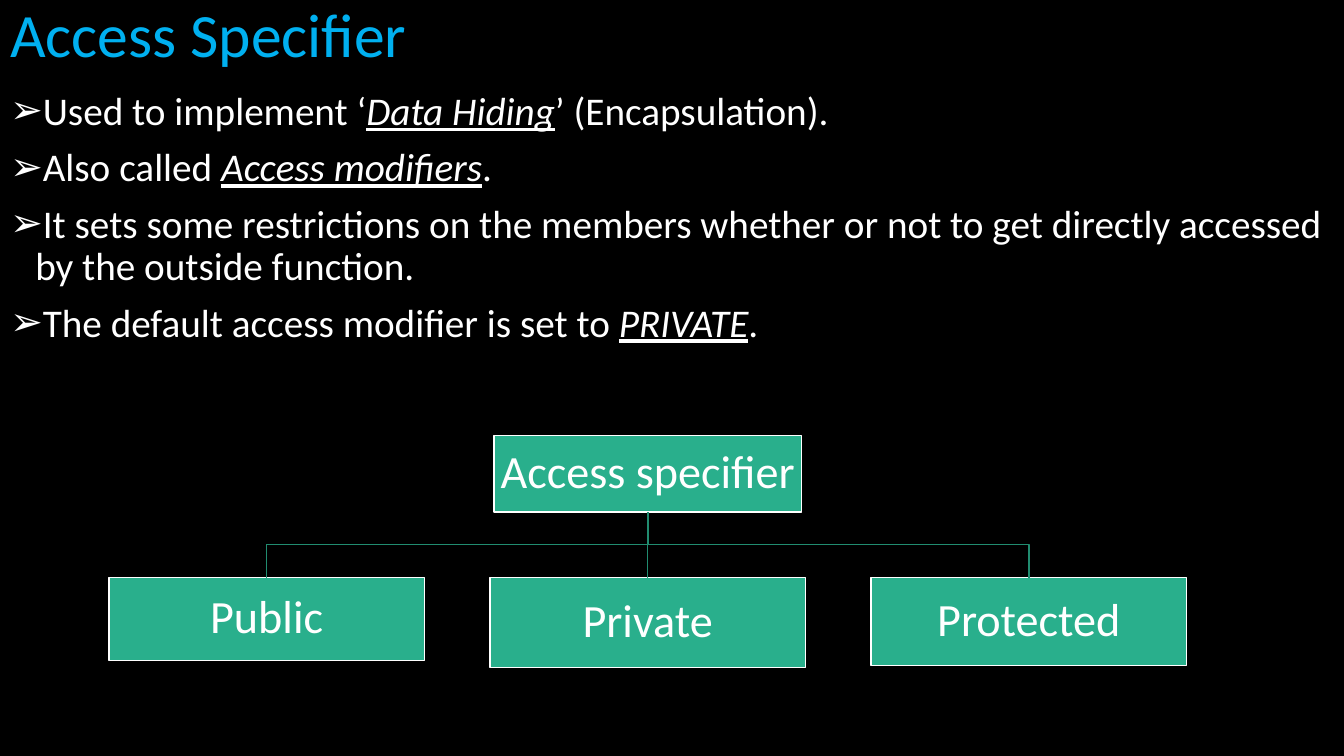
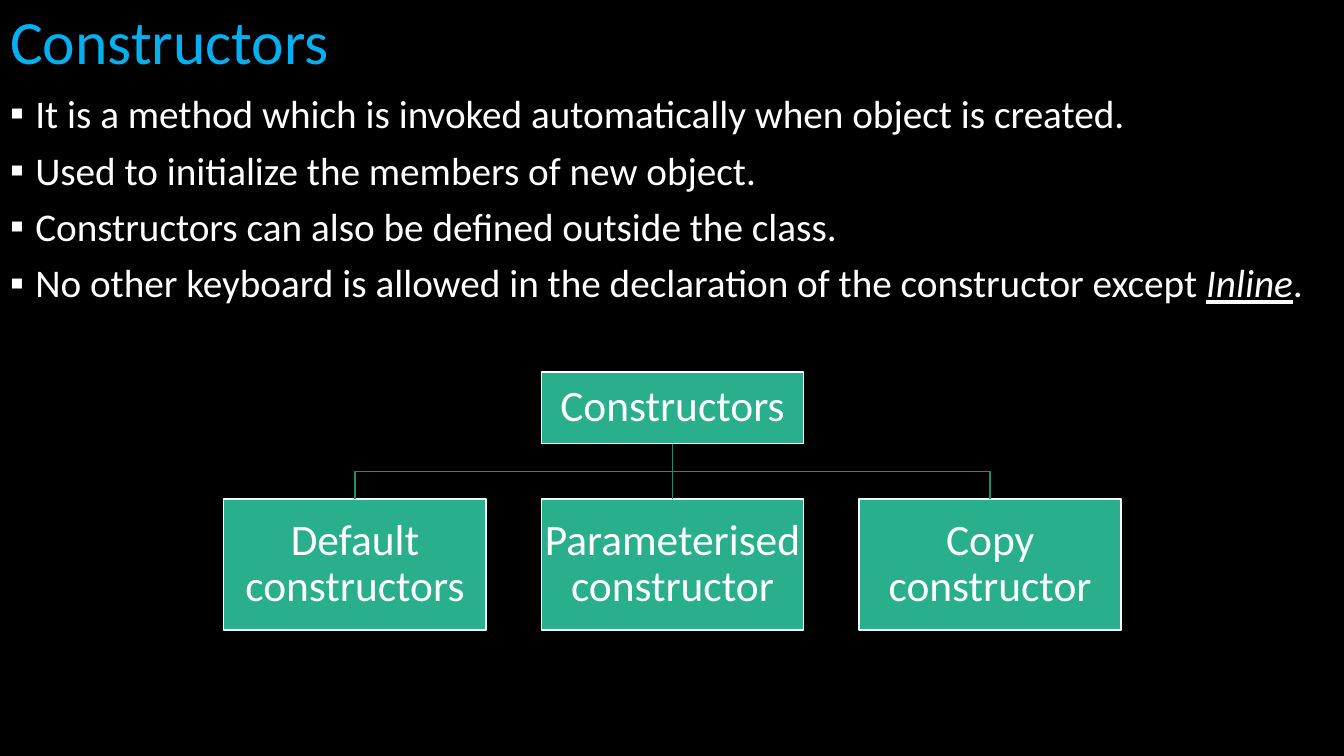
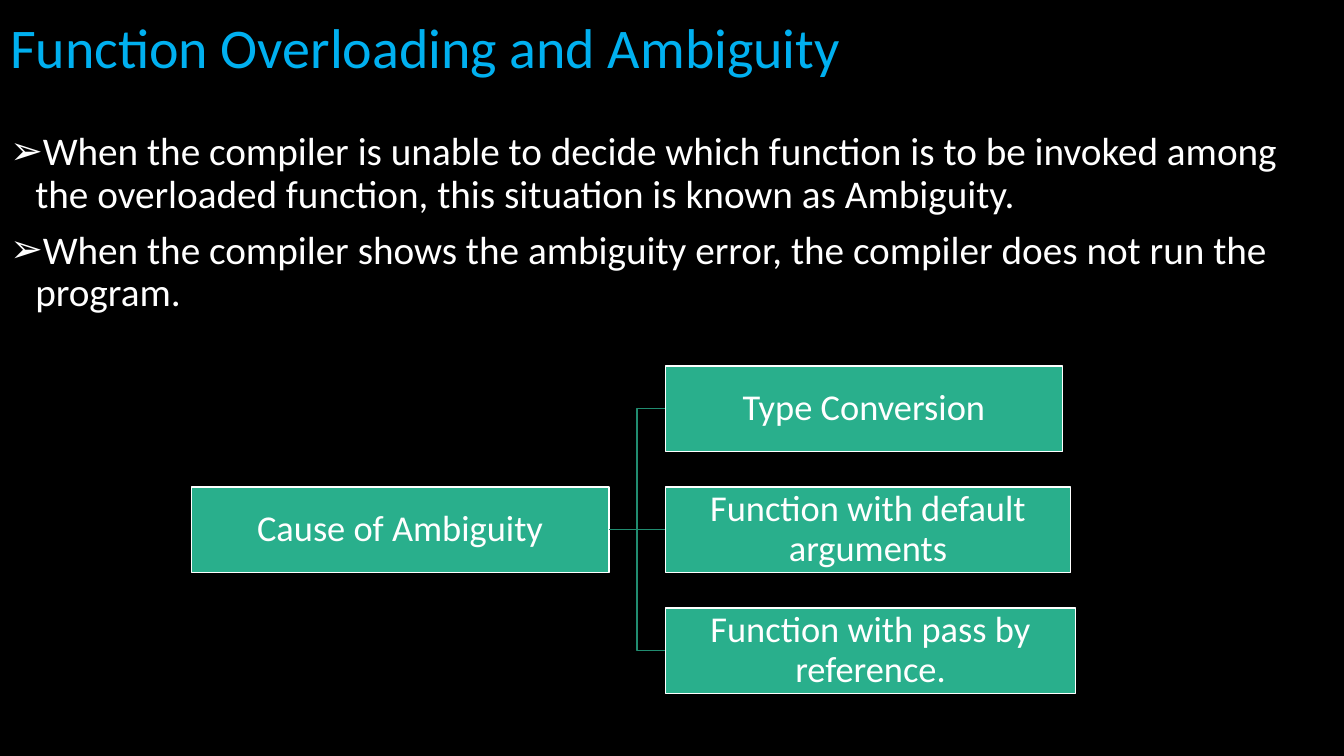
from lxml import etree
from pptx import Presentation
from pptx.dml.color import RGBColor
from pptx.enum.shapes import MSO_CONNECTOR, MSO_SHAPE
from pptx.enum.text import MSO_ANCHOR, MSO_AUTO_SIZE, PP_ALIGN
from pptx.oxml.ns import qn
from pptx.util import Inches, Pt

FONT = "Calibri"
BLACK, WHITE = "000000", "FFFFFF"
TITLE_BLUE = "00B0F0"
BOX_GREEN, LINE_GREEN = "29AF8C", "218C70"
ARROW, SQUARE = "➢", "▪"
TOP, LEFT, BOTTOM, RIGHT = range(4)


def rgb(color):
    return RGBColor.from_string(color)


def place(shape, left, top, width, height):
    shape.left, shape.top = Inches(left), Inches(top)
    shape.width, shape.height = Inches(width), Inches(height)


def style_font(font, size, color):
    font.name, font.size = FONT, Pt(size)
    font.color.rgb = rgb(color)


def add_title(slide, text, box, size=44):
    title = slide.shapes.title
    place(title, *box)
    frame = title.text_frame
    frame.text = text
    frame.auto_size = MSO_AUTO_SIZE.NONE
    frame.vertical_anchor = MSO_ANCHOR.MIDDLE
    heading = frame.paragraphs[0]
    heading.alignment = PP_ALIGN.LEFT
    heading.line_spacing = 0.9
    style_font(heading.runs[0].font, size, TITLE_BLUE)


def set_bullet(paragraph, char):
    properties = paragraph._p.get_or_add_pPr()
    properties.set("marL", str(Inches(0.25)))
    properties.set("indent", str(Inches(-0.25)))
    etree.SubElement(properties, qn("a:buFont")).set("typeface", FONT)
    etree.SubElement(properties, qn("a:buChar")).set("char", char)


def add_bullets(slide, items, top, bullet):
    """Fill the body placeholder; text between underscores is emphasised."""
    body = slide.placeholders[1]
    place(body, 0, top, 13.33, 7.5 - top)
    frame = body.text_frame
    frame.auto_size = MSO_AUTO_SIZE.NONE
    for index, item in enumerate(items):
        paragraph = frame.add_paragraph() if index else frame.paragraphs[0]
        paragraph.line_spacing = 0.9
        paragraph.space_before = Pt(10 if index else 0)
        set_bullet(paragraph, bullet)
        for part, text in enumerate(item.split("_")):
            run = paragraph.add_run()
            run.text = text
            style_font(run.font, 28, WHITE)
            if part % 2:
                run.font.italic = run.font.underline = True


def add_box(slide, text, box, size):
    node = slide.shapes.add_shape(MSO_SHAPE.RECTANGLE, *map(Inches, box))
    node.shadow.inherit = False
    node.fill.solid()
    node.fill.fore_color.rgb = rgb(BOX_GREEN)
    node.line.color.rgb = rgb(WHITE)
    node.line.width = Pt(1)
    frame = node.text_frame
    frame.text = text
    frame.word_wrap = True
    frame.vertical_anchor = MSO_ANCHOR.MIDDLE
    frame.margin_left = frame.margin_right = Inches(0.02)
    frame.margin_top = frame.margin_bottom = Inches(0.02)
    label = frame.paragraphs[0]
    label.alignment = PP_ALIGN.CENTER
    label.line_spacing = 0.9
    style_font(label.runs[0].font, size, WHITE)
    return node


def side_middle(node, side):
    across = {LEFT: 0, RIGHT: node.width}.get(side, node.width // 2)
    down = {TOP: 0, BOTTOM: node.height}.get(side, node.height // 2)
    return node.left + across, node.top + down


def add_straight_branch(slide, parent, child, sides):
    branch = slide.shapes.add_connector(MSO_CONNECTOR.STRAIGHT, 0, 0, 0, 0)
    branch.begin_connect(parent, sides[0])
    branch.end_connect(child, sides[1])
    etree.SubElement(branch._element.spPr, qn("a:effectLst"))
    return branch


def add_bent_branch(slide, parent, child, sides):
    x1, y1 = side_middle(parent, sides[0])
    x2, y2 = side_middle(child, sides[1])
    if sides[0] == BOTTOM:
        bend = (y1 + y2) // 2
        corners = [(x1, bend), (x2, bend)]
    else:
        bend = (x1 + x2) // 2
        corners = [(bend, y1), (bend, y2)]
    builder = slide.shapes.build_freeform(x1, y1)
    builder.add_line_segments(corners + [(x2, y2)], close=False)
    branch = builder.convert_to_shape()
    branch.fill.background()
    branch.shadow.inherit = False
    return branch


def add_tree(slide, root, children, size, sides=(BOTTOM, TOP)):
    """Draw a root and three children; the middle child is level with the root."""
    parent = add_box(slide, *root, size)
    for index, child in enumerate(children):
        node = add_box(slide, *child, size)
        add_branch = add_straight_branch if index == 1 else add_bent_branch
        branch = add_branch(slide, parent, node, sides)
        branch.line.color.rgb = rgb(LINE_GREEN)
        branch.line.width = Pt(1)


def access_specifier(slide):
    add_title(slide, "Access Specifier", (0, 0, 12.42, 0.74))
    add_bullets(slide, [
        "Used to implement ‘_Data Hiding_’ (Encapsulation).",
        "Also called _Access modifiers_.",
        "It sets some restrictions on the members whether or not to get "
        "directly accessed by the outside function.",
        "The default access modifier is set to _PRIVATE_.",
    ], 0.86, ARROW)
    levels = [("Public", 0.82), ("Private", 0.89), ("Protected", 0.87)]
    add_tree(slide, ("Access specifier", (4.9, 4.32, 3.05, 0.76)),
             [(name, (1.08 + 3.78 * column, 5.73, 3.13, height))
              for column, (name, height) in enumerate(levels)], 33)


def constructors(slide):
    add_title(slide, "Constructors", (0, 0, 13.33, 0.89))
    add_bullets(slide, [
        "It is a method which is invoked automatically when object is created.",
        "Used to initialize the members of new object.",
        "Constructors can also be defined outside the class.",
        "No other keyboard is allowed in the declaration of the constructor "
        "except _Inline_.",
    ], 0.89, SQUARE)
    kinds = ["Default constructors", "Parameterised constructor",
             "Copy constructor"]
    add_tree(slide, ("Constructors", (5.37, 3.69, 2.6, 0.71)),
             [(kind, (2.22 + 3.15 * column, 4.95, 2.6, 1.3))
              for column, kind in enumerate(kinds)], 31)


def overloading(slide):
    add_title(slide, "Function Overloading and Ambiguity",
              (0, 0.07, 13.33, 0.85), 40)
    add_bullets(slide, [
        "When the compiler is unable to decide which function is to be invoked "
        "among the overloaded function, this situation is known as Ambiguity.",
        "When the compiler shows the ambiguity error, the compiler does not "
        "run the program.",
    ], 1.26, ARROW)
    causes = [("Type Conversion", 3.94),
              ("Function with default arguments", 4.02),
              ("Function with pass by reference.", 4.07)]
    add_tree(slide, ("Cause of Ambiguity", (1.9, 4.83, 4.14, 0.85)),
             [(cause, (6.6, 4.83 + 1.2 * (row - 1), width, 0.85))
              for row, (cause, width) in enumerate(causes)],
             26, (RIGHT, LEFT))


def main():
    deck = Presentation()
    deck.slide_width, deck.slide_height = Inches(13.33), Inches(7.5)
    backdrop = deck.slide_master.background.fill
    backdrop.solid()
    backdrop.fore_color.rgb = rgb(BLACK)
    for build in (access_specifier, constructors, overloading):
        build(deck.slides.add_slide(deck.slide_layouts[1]))
    deck.save("out.pptx")


if __name__ == "__main__":
    main()
